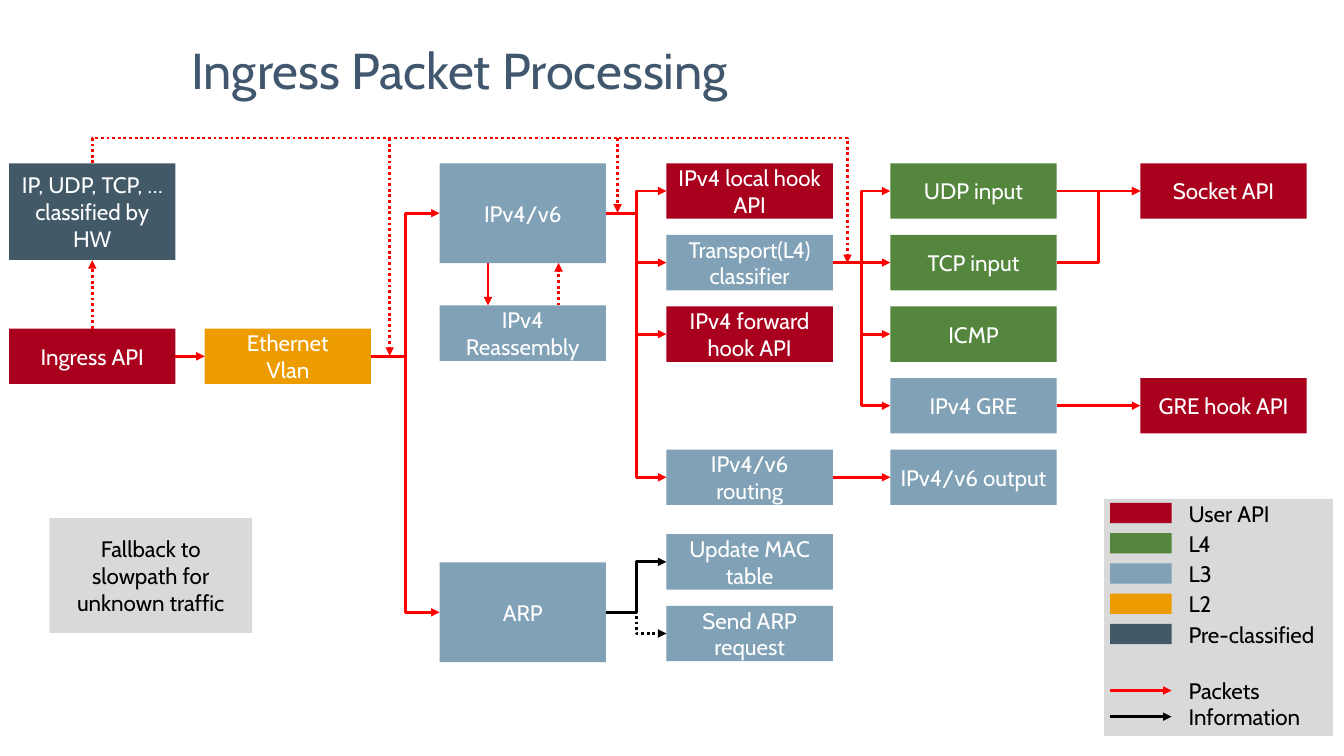
from lxml import etree
from pptx import Presentation
from pptx import util as u
from pptx.dml.color import RGBColor
from pptx.enum import dml, shapes, text
from pptx.oxml import ns

FONT = "Cabin"
USER_API, L4, L3, L2, PRE_CLASSIFIED = "A9001E", "54863D", "80A1B6", "ED9C00", "425968"
PACKETS, INFORMATION, PANEL, WHITE, TITLE = "FF0000", "000000", "D9D9D9", "FFFFFF", "40576E"
TOP, LEFT, BOTTOM, RIGHT = range(4)
CENTER, START = text.PP_ALIGN.CENTER, text.PP_ALIGN.LEFT


def rgb(colour):
    """Turn a hex string into a colour."""
    return RGBColor.from_string(colour)


def write(frame, label, colour, size=16, align=CENTER, anchor=text.MSO_ANCHOR.MIDDLE):
    """Write a label into a text frame, one paragraph per line."""
    frame.word_wrap = True
    frame.vertical_anchor = anchor
    for number, line in enumerate(label.split("\n")):
        paragraph = frame.paragraphs[0] if number == 0 else frame.add_paragraph()
        paragraph.alignment = align
        run = paragraph.add_run()
        run.text = line
        run.font.name = FONT
        run.font.size = u.Pt(size)
        run.font.color.rgb = rgb(colour)


def draw_block(canvas, box, fill, label="", colour=WHITE):
    """Draw a filled rectangle with an optional centred label."""
    block = canvas.add_shape(shapes.MSO_SHAPE.RECTANGLE, *map(u.Inches, box))
    block.shadow.inherit = False
    block.fill.solid()
    block.fill.fore_color.rgb = rgb(fill)
    block.line.fill.background()
    if label:
        write(block.text_frame, label, colour)
    return block


def style_flow(flow, colour, dotted):
    """Give a line its colour, dash and closing arrowhead."""
    flow.line.color.rgb = rgb(colour)
    flow.line.width = u.Pt(2)
    if dotted:
        flow.line.dash_style = dml.MSO_LINE.ROUND_DOT
    arrow = etree.SubElement(flow.line._get_or_add_ln(), ns.qn("a:tailEnd"))
    arrow.set("type", "triangle")


def draw_arrow(canvas, start, end, colour=PACKETS, dotted=False, kind=shapes.MSO_CONNECTOR.STRAIGHT):
    """Draw an arrow between two points."""
    arrow = canvas.add_connector(kind, *map(u.Inches, (*start, *end)))
    style_flow(arrow, colour, dotted)
    etree.SubElement(arrow._element.spPr, ns.qn("a:effectLst"))
    return arrow


def join(canvas, source, target, colour=PACKETS, dotted=False, sides=(RIGHT, LEFT), bent=False):
    """Join two blocks with a straight or bent arrow."""
    kind = shapes.MSO_CONNECTOR.ELBOW if bent else shapes.MSO_CONNECTOR.STRAIGHT
    arrow = draw_arrow(canvas, (0, 0), (0, 0), colour, dotted, kind)
    arrow.begin_connect(source, sides[0])
    arrow.end_connect(target, sides[1])


def draw_title(canvas, box):
    """Draw the slide title."""
    title = canvas.add_textbox(*map(u.Inches, box))
    write(title.text_frame, "Ingress Packet Processing", TITLE, 36, START)
    title.text_frame.paragraphs[0].line_spacing = 0.9


def draw_pipeline(canvas, left, top):
    """Draw the processing stages and the packet flow between them."""
    intake, link, network, hooks, transport, sockets = (
        left + offset for offset in (0, 1.94, 4.27, 6.52, 8.74, 11.22))
    width, height, tall, pitch = 1.65, 0.55, 0.99, 0.71

    def stage(column, offset, label, fill, depth=height):
        return draw_block(canvas, (column, top + offset, width, depth), fill, label)

    classified = stage(intake, 0, "IP, UDP, TCP, … classified by HW", PRE_CLASSIFIED, 0.96)
    ingress = stage(intake, 1.64, "Ingress API", USER_API)
    ethernet = stage(link, 1.64, "Ethernet\nVlan", L2)
    ip = stage(network, 0, "IPv4/v6", L3, tall)
    stage(network, 1.41, "IPv4 Reassembly", L3)
    arp = stage(network, 3.96, "ARP", L3, tall)
    local_hook = stage(hooks, 0, "IPv4 local hook API", USER_API)
    classifier = stage(hooks, pitch, "Transport(L4) classifier", L3)
    forward_hook = stage(hooks, 2 * pitch, "IPv4 forward hook API", USER_API)
    routing = stage(hooks, 4 * pitch, "IPv4/v6 routing", L3)
    mac_table = stage(hooks, 3.68, "Update MAC table", L3)
    arp_request = stage(hooks, 3.68 + pitch, "Send ARP request", L3)
    outlets = [("UDP input", L4), ("TCP input", L4), ("ICMP", L4),
               ("IPv4 GRE", L3), ("IPv4/v6 output", L3)]
    udp, tcp, icmp, gre, output = (
        stage(transport, row * pitch, *outlet) for row, outlet in enumerate(outlets))
    socket = stage(sockets, 0, "Socket API", USER_API)
    gre_hook = stage(sockets, 3 * pitch, "GRE hook API", USER_API)

    for source, target in ((ingress, ethernet), (classifier, tcp), (routing, output),
                           (udp, socket), (gre, gre_hook)):
        join(canvas, source, target)
    for source, targets in ((ethernet, (ip, arp)),
                            (ip, (local_hook, classifier, forward_hook, routing)),
                            (classifier, (udp, icmp, gre)),
                            (tcp, (socket,))):
        for target in targets:
            join(canvas, source, target, bent=True)
    join(canvas, arp, mac_table, INFORMATION, bent=True)
    join(canvas, arp, arp_request, INFORMATION, dotted=True, bent=True)
    join(canvas, ingress, classified, dotted=True, sides=(TOP, BOTTOM))

    reassembly_top = top + 1.41
    draw_arrow(canvas, (network + 0.48, top + tall), (network + 0.48, reassembly_top))
    draw_arrow(canvas, (network + 1.18, reassembly_top), (network + 1.18, top + tall), dotted=True)
    draw_bypass(canvas, left + width / 2, top)


def draw_bypass(canvas, left, top):
    """Draw the dotted path of classified packets and its drops into the pipeline."""
    rail = top - 0.25
    last = left + 7.49
    points = [(left, rail), (last, rail), (last, top + 0.99)]
    outline = canvas.build_freeform(u.Inches(left), u.Inches(top))
    outline.add_line_segments([tuple(map(u.Inches, point)) for point in points], close=False)
    bypass = outline.convert_to_shape()
    bypass.shadow.inherit = False
    bypass.fill.background()
    style_flow(bypass, PACKETS, True)
    for offset, depth in ((2.95, 1.91), (5.21, 0.49)):
        draw_arrow(canvas, (left + offset, rail), (left + offset, top + depth), dotted=True)


def draw_legend(canvas, box):
    """Draw the key to block colours and arrows."""
    left, top = box[:2]
    legend = canvas.add_group_shape().shapes
    draw_block(legend, box, PANEL)

    def caption(label, offset):
        entry = legend.add_textbox(*map(u.Inches, (left + 0.74, top + offset, 1.54, 0.37)))
        write(entry.text_frame, label, INFORMATION, align=START, anchor=text.MSO_ANCHOR.TOP)

    layers = [("User API", USER_API), ("L4", L4), ("L3", L3), ("L2", L2),
              ("Pre-classified", PRE_CLASSIFIED)]
    for row, (label, fill) in enumerate(layers):
        offset = 0.04 + 0.3 * row
        draw_block(legend, (left + 0.06, top + offset, 0.61, 0.2), fill)
        caption(label, offset - 0.08)
    for offset, label, colour in ((1.9, "Packets", PACKETS), (2.16, "Information", INFORMATION)):
        draw_arrow(legend, (left + 0.06, top + offset), (left + 0.67, top + offset), colour)
        caption(label, offset - 0.18)


def main():
    """Build the slide and save it."""
    deck = Presentation()
    deck.slide_width, deck.slide_height = u.Inches(13.33), u.Inches(7.5)
    canvas = deck.slides.add_slide(deck.slide_layouts[6]).shapes
    draw_title(canvas, (1.8, 0.4, 10.62, 0.66))
    draw_pipeline(canvas, 0.09, 1.62)
    draw_block(canvas, (0.49, 5.14, 2.01, 1.14), PANEL,
               "Fallback to slowpath for unknown traffic", INFORMATION)
    draw_legend(canvas, (10.95, 4.95, 2.27, 2.35))
    deck.save("out.pptx")


if __name__ == "__main__":
    main()
